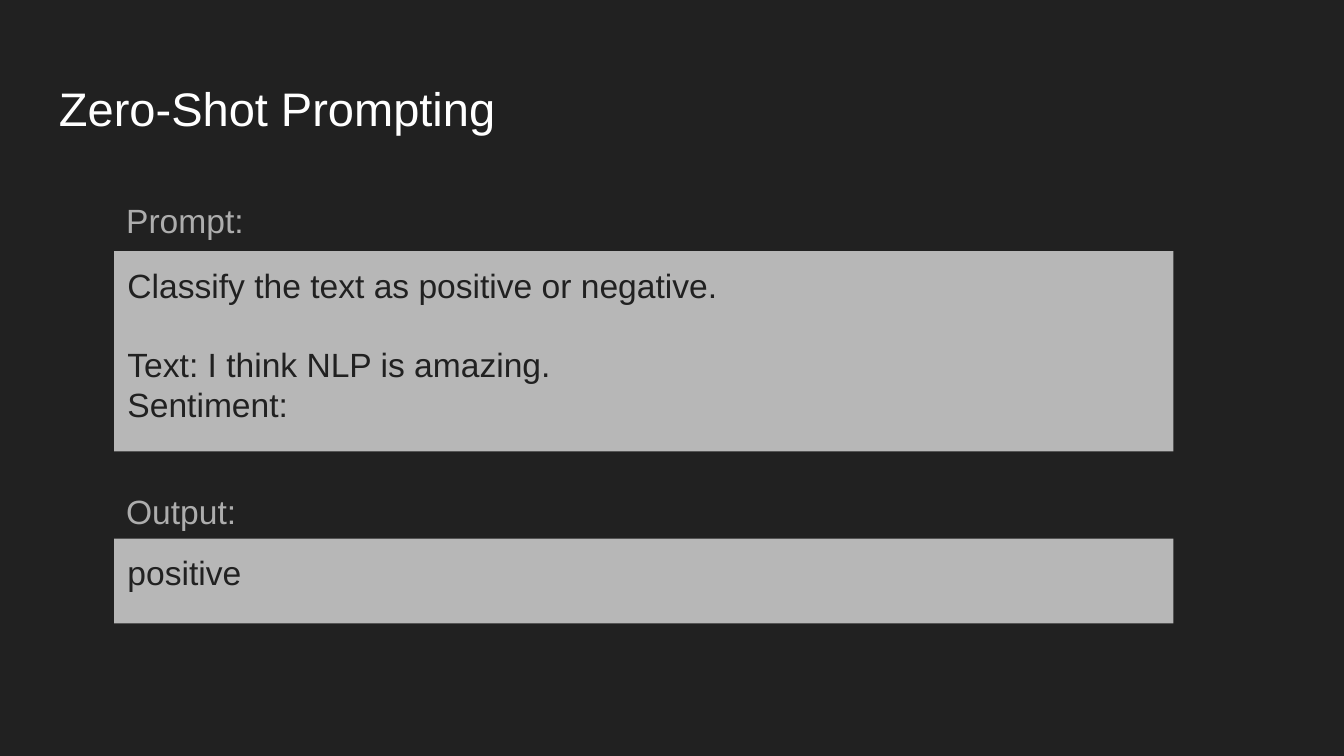
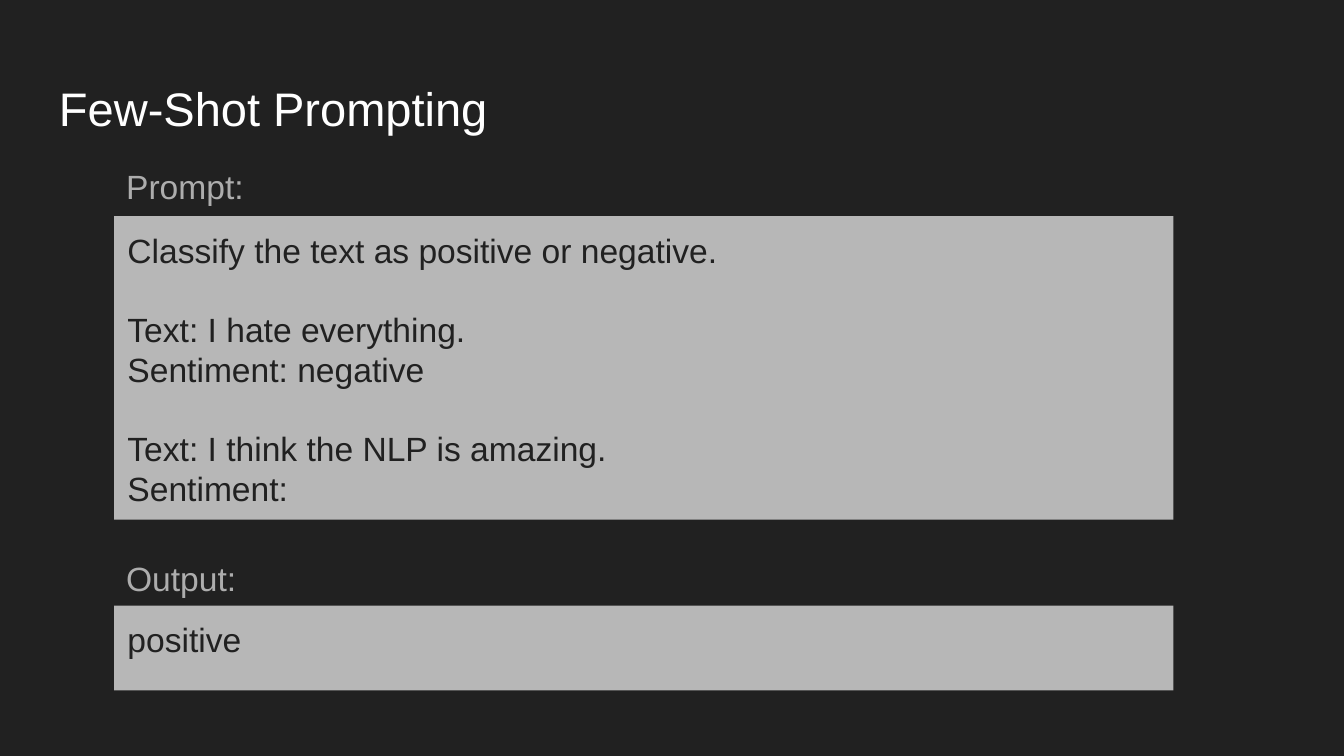
from pptx import Presentation
from pptx.dml.color import RGBColor
from pptx.enum import shapes, text
from pptx.util import Pt

BACKGROUND = RGBColor(0x21, 0x21, 0x21)
TITLE_COLOR = RGBColor(0xFF, 0xFF, 0xFF)
LABEL_COLOR = RGBColor(0xAD, 0xAD, 0xAD)
PANEL_COLOR = RGBColor(0xB7, 0xB7, 0xB7)
FONT = "Arial"
BODY_SIZE = 18
INSET = 7.2
BLANK_LINE = 20.7  # height of one line of body text

TITLE_BOX = (24.5, 35.3, 671, 45.4)
PANEL_LEFT, PANEL_WIDTH = 61.2, 567.4
LABEL_LEFT, LABEL_WIDTH, LABEL_HEIGHT = 60.5, 126, 45.4
OUTPUT_HEIGHT, OUTPUT_LABEL_GAP = 45.4, 36


def write_text(shape, groups, *, color, size=BODY_SIZE, line_spacing=None, space_after=0):
    """Write groups of lines, with a blank line's height between groups."""
    frame = shape.text_frame
    frame.word_wrap = True
    frame.vertical_anchor = text.MSO_ANCHOR.TOP
    frame.margin_left = frame.margin_right = Pt(INSET)
    frame.margin_top = frame.margin_bottom = Pt(INSET)
    paragraph = frame.paragraphs[0]
    for group_index, group in enumerate(groups):
        for line_index, line in enumerate(group):
            if group_index or line_index:
                paragraph = frame.add_paragraph()
            if group_index and line_index == 0:
                paragraph.space_before = Pt(BLANK_LINE)
            paragraph.alignment = text.PP_ALIGN.LEFT
            paragraph.space_after = Pt(space_after)
            if line_spacing:
                paragraph.line_spacing = line_spacing
            run = paragraph.add_run()
            run.text = line
            run.font.name = FONT
            run.font.size = Pt(size)
            run.font.color.rgb = color


def add_title(slide, title):
    shape = slide.shapes.add_textbox(*map(Pt, TITLE_BOX))
    write_text(shape, [[title]], color=TITLE_COLOR, size=25.2)


def add_panel(slide, label, groups, top, height, label_gap):
    """Add a filled panel with its label starting label_gap above it."""
    panel = slide.shapes.add_shape(
        shapes.MSO_SHAPE.RECTANGLE, Pt(PANEL_LEFT), Pt(top), Pt(PANEL_WIDTH), Pt(height))
    panel.shadow.inherit = False
    panel.fill.solid()
    panel.fill.fore_color.rgb = PANEL_COLOR
    panel.line.fill.background()
    write_text(panel, groups, color=BACKGROUND)

    label_box = slide.shapes.add_textbox(
        Pt(LABEL_LEFT), Pt(top - label_gap), Pt(LABEL_WIDTH), Pt(LABEL_HEIGHT))
    write_text(label_box, [[label]], color=LABEL_COLOR, line_spacing=1.15, space_after=12)


def add_prompting_slide(presentation, title, prompt, prompt_top, prompt_height,
                        prompt_label_gap, output_top):
    slide = presentation.slides.add_slide(presentation.slide_layouts[6])
    slide.background.fill.solid()
    slide.background.fill.fore_color.rgb = BACKGROUND
    add_title(slide, title)
    add_panel(slide, "Prompt:", prompt, prompt_top, prompt_height, prompt_label_gap)
    add_panel(slide, "Output:", [["positive"]], output_top, OUTPUT_HEIGHT, OUTPUT_LABEL_GAP)


def main():
    presentation = Presentation()
    presentation.slide_width, presentation.slide_height = Pt(720), Pt(405)
    instruction = ["Classify the text as positive or negative."]

    # Zero-shot: the instruction and the question only
    add_prompting_slide(
        presentation, "Zero-Shot Prompting",
        [instruction, ["Text: I think NLP is amazing.", "Sentiment:"]],
        prompt_top=134.5, prompt_height=107.3, prompt_label_gap=38, output_top=288.6)

    # Few-shot: a worked example before the question
    add_prompting_slide(
        presentation, "Few-Shot Prompting",
        [instruction,
         ["Text: I hate everything.", "Sentiment: negative"],
         ["Text: I think the NLP is amazing.", "Sentiment:"]],
        prompt_top=115.8, prompt_height=162.7, prompt_label_gap=37.3, output_top=324.5)

    presentation.save("out.pptx")


if __name__ == "__main__":
    main()
